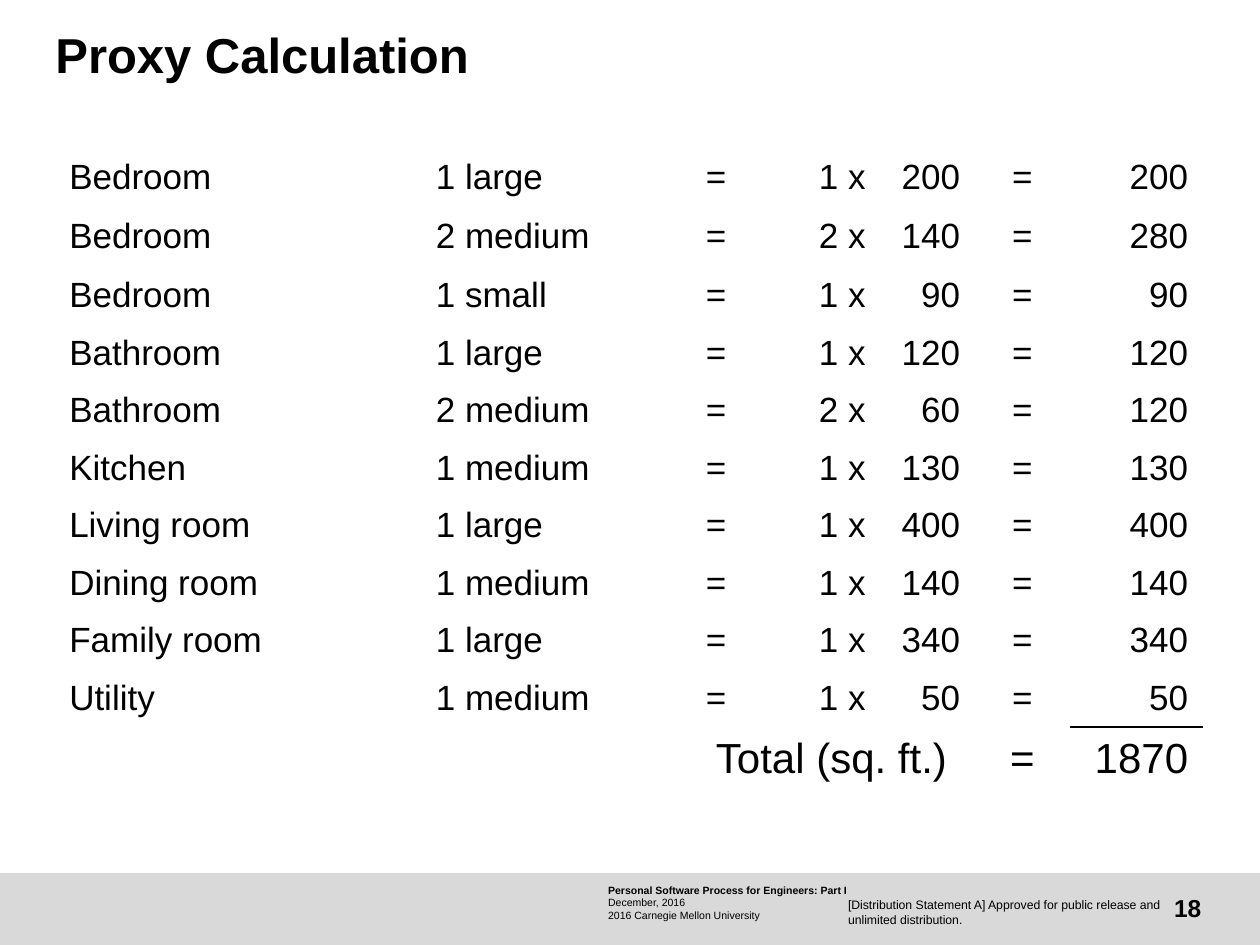
from dataclasses import dataclass

from lxml import etree
from pptx import Presentation
from pptx import util as u
from pptx.dml.color import RGBColor
from pptx.enum import shapes, text
from pptx.oxml.ns import qn

Pt = u.Pt
LEFT, MID, RIGHT = text.PP_ALIGN.LEFT, text.PP_ALIGN.CENTER, text.PP_ALIGN.RIGHT


@dataclass(frozen=True)
class Theme:
    font: str = "Arial"
    ink: str = "000000"
    band: str = "D9D9D9"
    title: int = 28
    total: int = 24
    body: int = 20
    page: int = 14
    note: int = 7
    foot: int = 6


class Deck:
    def __init__(self, theme):
        self.theme = theme
        self.prs = Presentation()
        self.prs.slide_width, self.prs.slide_height = Pt(720), Pt(540)
        self.slide = self.prs.slides.add_slide(self.prs.slide_layouts[6])

    def style(self, para, size, bold=False, align=LEFT):
        para.alignment = align
        font = para.font
        font.name, font.size, font.bold = self.theme.font, Pt(size), bold
        font.color.rgb = RGBColor.from_string(self.theme.ink)

    def band(self, *box):
        bar = self.slide.shapes.add_shape(shapes.MSO_SHAPE.RECTANGLE, *map(Pt, box))
        bar.shadow.inherit = False
        bar.fill.solid()
        bar.fill.fore_color.rgb = RGBColor.from_string(self.theme.band)
        bar.line.fill.background()

    def label(self, box, lines, size, bold=1, align=LEFT, anchor=text.MSO_ANCHOR.TOP,
              gap=None):
        """Add a text box whose first `bold` lines are bold."""
        frame = self.slide.shapes.add_textbox(*map(Pt, box)).text_frame
        frame.word_wrap = True
        frame.vertical_anchor = anchor
        frame.margin_left = frame.margin_right = 0
        frame.margin_top = frame.margin_bottom = 0
        frame.text = "\n".join(lines)
        for i, para in enumerate(frame.paragraphs):
            self.style(para, size, i < bold, align)
            para.line_spacing = gap

    def grid(self, left, top, cols, rows):
        table = self.slide.shapes.add_table(
            len(rows), len(cols), Pt(left), Pt(top), Pt(sum(cols)), Pt(sum(rows))).table
        table.first_row = table.horz_banding = False
        for col, width in zip(table.columns, cols):
            col.width = Pt(width)
        for row, height in zip(table.rows, rows):
            row.height = Pt(height)
        for cell in table.iter_cells():
            cell.fill.background()
            cell.vertical_anchor = text.MSO_ANCHOR.MIDDLE
            cell.margin_left = cell.margin_right = Pt(7.9)
        return table

    def cell(self, cell, value, size, align):
        cell.text = str(value)
        self.style(cell.text_frame.paragraphs[0], size, align=align)

    def rule(self, cell, side, width):
        """Draw one cell border: side is lnT or lnB."""
        line = etree.Element(qn("a:" + side), w=str(Pt(width)))
        fill = etree.SubElement(line, qn("a:solidFill"))
        etree.SubElement(fill, qn("a:srgbClr"), val=self.theme.ink)
        cell._tc.get_or_add_tcPr().insert(0, line)


ROOMS = [
    ("Bedroom", 1, "large", 200),
    ("Bedroom", 2, "medium", 140),
    ("Bedroom", 1, "small", 90),
    ("Bathroom", 1, "large", 120),
    ("Bathroom", 2, "medium", 60),
    ("Kitchen", 1, "medium", 130),
    ("Living room", 1, "large", 400),
    ("Dining room", 1, "medium", 140),
    ("Family room", 1, "large", 340),
    ("Utility", 1, "medium", 50),
]
ALIGN = [LEFT, LEFT, MID, RIGHT, RIGHT, MID, RIGHT]


def main():
    theme = Theme()
    deck = Deck(theme)

    # Footer
    deck.band(0, 499, 720, 41)
    deck.label((347.5, 505, 159, 21.6),
               ["Personal Software Process for Engineers: Part I",
                "December, 2016", "2016 Carnegie Mellon University"], theme.foot)
    deck.label((646.5, 504, 40, 29), ["18"], theme.page, align=RIGHT,
               anchor=text.MSO_ANCHOR.MIDDLE)
    deck.label((484.6, 512.8, 183, 16.6),
               ["[Distribution Statement A] Approved for public release "
                "and unlimited distribution."], theme.note, bold=0)

    # Title
    deck.label((31.7, 18, 598, 52.5), ["Proxy Calculation"], theme.title, gap=0.9)

    # Room sizes
    cols = [209.5, 152.6, 31, 77.8, 54, 55.4, 74.9]
    rows = [32.9, 34.5] + [32.9] * 8 + [36]
    table = deck.grid(31.7, 85, cols, rows)
    for r, (room, count, size, area) in enumerate(ROOMS):
        values = [room, f"{count} {size}", "=", f"{count} x", area, "=", count * area]
        for c, (value, align) in enumerate(zip(values, ALIGN)):
            deck.cell(table.cell(r, c), value, theme.body, align)

    # Total
    last = len(ROOMS)
    table.cell(last, 2).merge(table.cell(last, 4))
    total = sum(count * area for _, count, _, area in ROOMS)
    for c, value, align in [(2, "Total (sq. ft.)", MID), (5, "=", MID), (6, total, RIGHT)]:
        deck.cell(table.cell(last, c), value, theme.total, align)
    deck.rule(table.cell(last - 1, 6), "lnB", 0.96)
    deck.rule(table.cell(last, 6), "lnT", 0.96)

    deck.prs.save("out.pptx")


if __name__ == "__main__":
    main()
